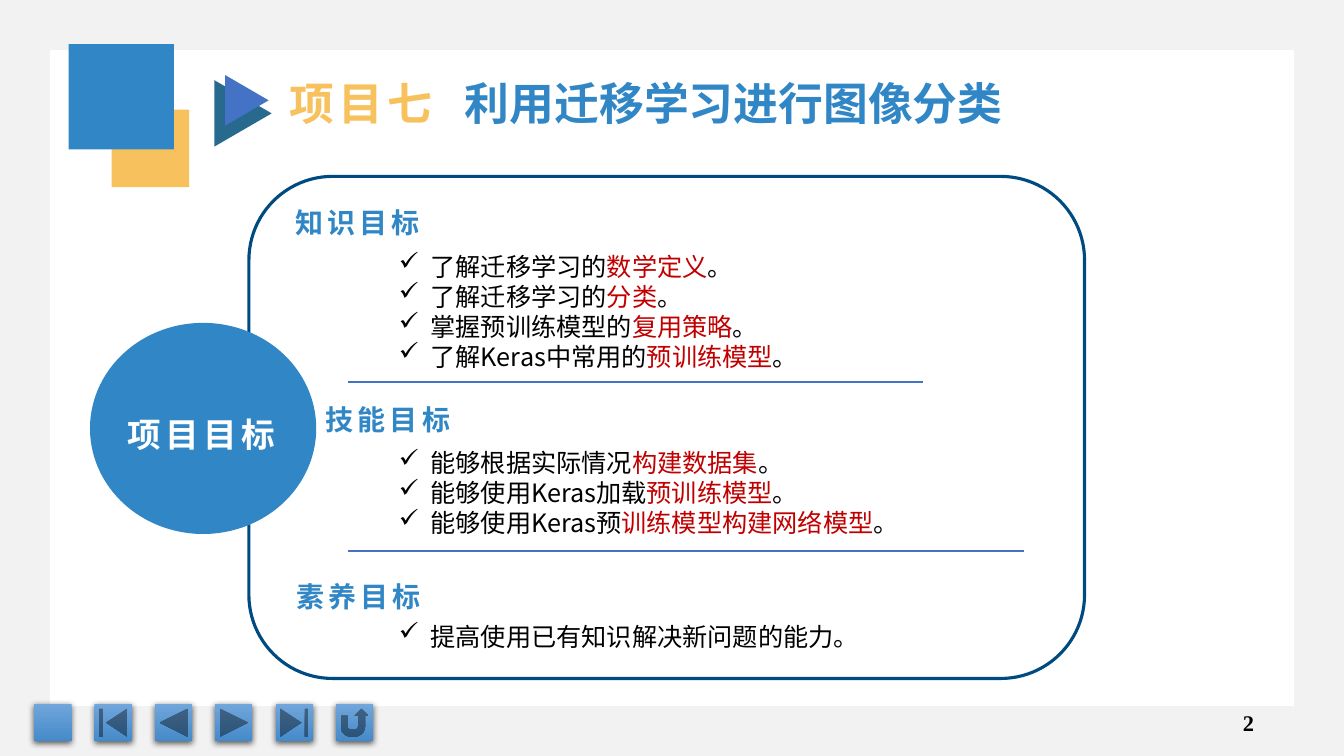
import pptx
import pptx.util
import pptx.dml.color
import pptx.enum.shapes
import pptx.enum.text
import pptx.oxml
import pptx.oxml.ns

Pt = pptx.util.Pt
SHAPE = pptx.enum.shapes.MSO_SHAPE
ALIGN = pptx.enum.text.PP_ALIGN
ANCHOR = pptx.enum.text.MSO_ANCHOR
A = pptx.oxml.ns.nsdecls("a")

CJK = "Noto Sans CJK SC"
BLUE, GOLD, RED, BLACK = "3187C6", "F7C15D", "C00000", "000000"
ACCENT = "4472C4"

KNOWLEDGE = [("了解迁移学习的", "数学定义", "。"),
             ("了解迁移学习的", "分类", "。"),
             ("掌握预训练模型的", "复用策略", "。"),
             ("了解Keras中常用的", "预训练模型", "。")]
SKILLS = [("能够根据实际情况", "构建数据集", "。"),
          ("能够使用Keras加载", "预训练模型", "。"),
          ("能够使用Keras预", "训练模型构建网络模型", "。")]
ATTITUDE = [("提高使用已有知识解决新问题的能力。",)]

# heading, its box, items, top of the list, width of the list
SECTIONS = [
    ("知识目标", (203.8, 139.7, 127.4, 33.1), KNOWLEDGE, 174.2, 466.6),
    ("技能目标", (225.4, 282.2, 360, 31.7), SKILLS, 314.6, 504),
    ("素养目标", (204.5, 408.2, 109.4, 31.7), ATTITUDE, 438.5, 558.7),
]
BUTTONS = [SHAPE.ACTION_BUTTON_CUSTOM, SHAPE.ACTION_BUTTON_BEGINNING,
           SHAPE.ACTION_BUTTON_BACK_OR_PREVIOUS,
           SHAPE.ACTION_BUTTON_FORWARD_OR_NEXT,
           SHAPE.ACTION_BUTTON_END, SHAPE.ACTION_BUTTON_RETURN]


def rgb(color):
    return pptx.dml.color.RGBColor.from_string(color)


def set_attrs(obj, values):
    for name, value in values.items():
        setattr(obj, name, value)


def add_shape(s, kind, box, fill=None, line=None, width=1):
    sp = s.shapes.add_shape(kind, *map(Pt, box))
    sp.shadow.inherit = False
    if fill:
        sp.fill.solid()
        sp.fill.fore_color.rgb = rgb(fill)
    else:
        sp.fill.background()
    if line:
        sp.line.color.rgb = rgb(line)
        sp.line.width = Pt(width)
    else:
        sp.line.fill.background()
    return sp


def add_button(s, kind, box):
    """Navigation button with a vertical gradient and a soft shadow."""
    sp = add_shape(s, kind, box)
    sp.fill.gradient()
    sp.fill.gradient_angle = 270
    for stop, color in zip(sp.fill.gradient_stops, ("71A6DB", "448ACA")):
        stop.color.rgb = rgb(color)
    effects = sp._element.spPr.find(pptx.oxml.ns.qn("a:effectLst"))
    effects.append(pptx.oxml.parse_xml(
        f'<a:outerShdw {A} blurRad="{Pt(4.5)}" dist="{Pt(1.5)}" dir="5400000">'
        '<a:srgbClr val="000000"><a:alpha val="63000"/></a:srgbClr>'
        '</a:outerShdw>'))


def add_divider(s, left, right, y):
    c = s.shapes.add_connector(pptx.enum.shapes.MSO_CONNECTOR.STRAIGHT,
                               *map(Pt, (left, y, right, y)))
    c.line.color.rgb = rgb(ACCENT)
    c.line.width = Pt(1.5)
    c._element.spPr.append(pptx.oxml.parse_xml(f"<a:effectLst {A}/>"))


def add_run(p, text, size, color, font=CJK, bold=False, spacing=0):
    r = p.add_run()
    r.text = text
    set_attrs(r.font, {"size": Pt(size), "name": font, "bold": bold})
    r.font.color.rgb = rgb(color)
    rPr = r._r.get_or_add_rPr()
    rPr.set("spc", str(spacing * 100))
    rPr.append(pptx.oxml.parse_xml(f'<a:ea {A} typeface="{CJK}"/>'))


def add_text_box(s, box, **frame):
    tf = s.shapes.add_textbox(*map(Pt, box)).text_frame
    set_attrs(tf, {"word_wrap": True, **frame})
    return tf


def add_label(s, box, text, size, color, height=None, **frame):
    """One bold line with wide letter spacing."""
    p = add_text_box(s, box, **frame).paragraphs[0]
    if height:
        p.line_spacing = Pt(height)
    add_run(p, text, size, color, "Arial Narrow", True, 3)


def add_checklist(s, box, items):
    """Ticked lines, in which the second part of each stands out in red."""
    tf = add_text_box(s, box, margin_top=Pt(5.2))
    for i, parts in enumerate(items):
        p = tf.add_paragraph() if i else tf.paragraphs[0]
        pPr = p._p.get_or_add_pPr()
        pPr.set("marL", str(Pt(22.5)))
        pPr.set("indent", str(-Pt(22.5)))
        pPr.append(pptx.oxml.parse_xml(f'<a:buChar {A} char="✓"/>'))
        set_attrs(p, {"alignment": ALIGN.JUSTIFY, "line_spacing": Pt(21.43)})
        for text, color in zip(parts, (BLACK, RED, BLACK)):
            add_run(p, text, 18, color)


def format_title(s):
    sp = s.shapes.title
    set_attrs(sp, {"left": Pt(199.4), "top": Pt(46.8),
                   "width": Pt(691.2), "height": Pt(46.1)})
    tf = sp.text_frame
    set_attrs(tf, {"word_wrap": True, "vertical_anchor": ANCHOR.TOP,
                   "auto_size": pptx.enum.text.MSO_AUTO_SIZE.NONE})
    p = tf.paragraphs[0]
    set_attrs(p, {"alignment": ALIGN.LEFT, "line_spacing": Pt(42.3)})
    add_run(p, "项目七", 32, GOLD, "Arial Narrow", True, 3)
    add_run(p, " ", 32, GOLD, "Arial Narrow", True, 13)
    add_run(p, "利用迁移学习进行图像分类", 32, BLUE, CJK, True)


def add_page_number(s, box, number):
    p = add_text_box(s, box, vertical_anchor=ANCHOR.MIDDLE).paragraphs[0]
    p.alignment = ALIGN.RIGHT
    add_run(p, number, 16, BLACK, "Times New Roman", True)


def main():
    prs = pptx.Presentation()
    set_attrs(prs, {"slide_width": Pt(960), "slide_height": Pt(540)})
    s = prs.slides.add_slide(prs.slide_layouts[5])

    frame = add_shape(s, SHAPE.FRAME, (0, 0, 960, 540), "F2F2F2")
    frame.adjustments[0] = 0.066
    for i, kind in enumerate(BUTTONS):
        add_button(s, kind, (24.4 + 43.1 * i, 502.8, 26.8, 26.8))
    add_page_number(s, (686.9, 501.8, 216, 28.8), "2")

    add_shape(s, SHAPE.RECTANGLE, (79.8, 78.4, 55.4, 55.4), GOLD)
    add_shape(s, SHAPE.RECTANGLE, (49, 31.6, 75.2, 75.2), BLUE)
    for box, color in (((149.8, 60.5, 47.5, 41), "286A8D"),
                       ((158.4, 56.2, 36, 31), ACCENT)):
        add_shape(s, SHAPE.ISOSCELES_TRIANGLE, box, color).rotation = 90
    format_title(s)

    add_shape(s, SHAPE.ROUNDED_RECTANGLE, (177.8, 126, 596.9, 358.6),
              line="004A82", width=2.25)
    add_shape(s, SHAPE.OVAL, (64.8, 231.1, 160.6, 149.8), BLUE, BLUE)
    add_label(s, (84.2, 290.2, 123.8, 36), "项目目标", 24, "FFFFFF", 30.8)
    for heading, box, items, top, width in SECTIONS:
        add_label(s, box, heading, 20, BLUE,
                  vertical_anchor=ANCHOR.BOTTOM, margin_bottom=Pt(2))
        add_checklist(s, (277.9, top, width, 7.2 + 21.8 * len(items)), items)
    add_divider(s, 248.4, 659.5, 272.9)
    add_divider(s, 248.4, 731.5, 393.8)

    prs.save("out.pptx")


if __name__ == "__main__":
    main()
